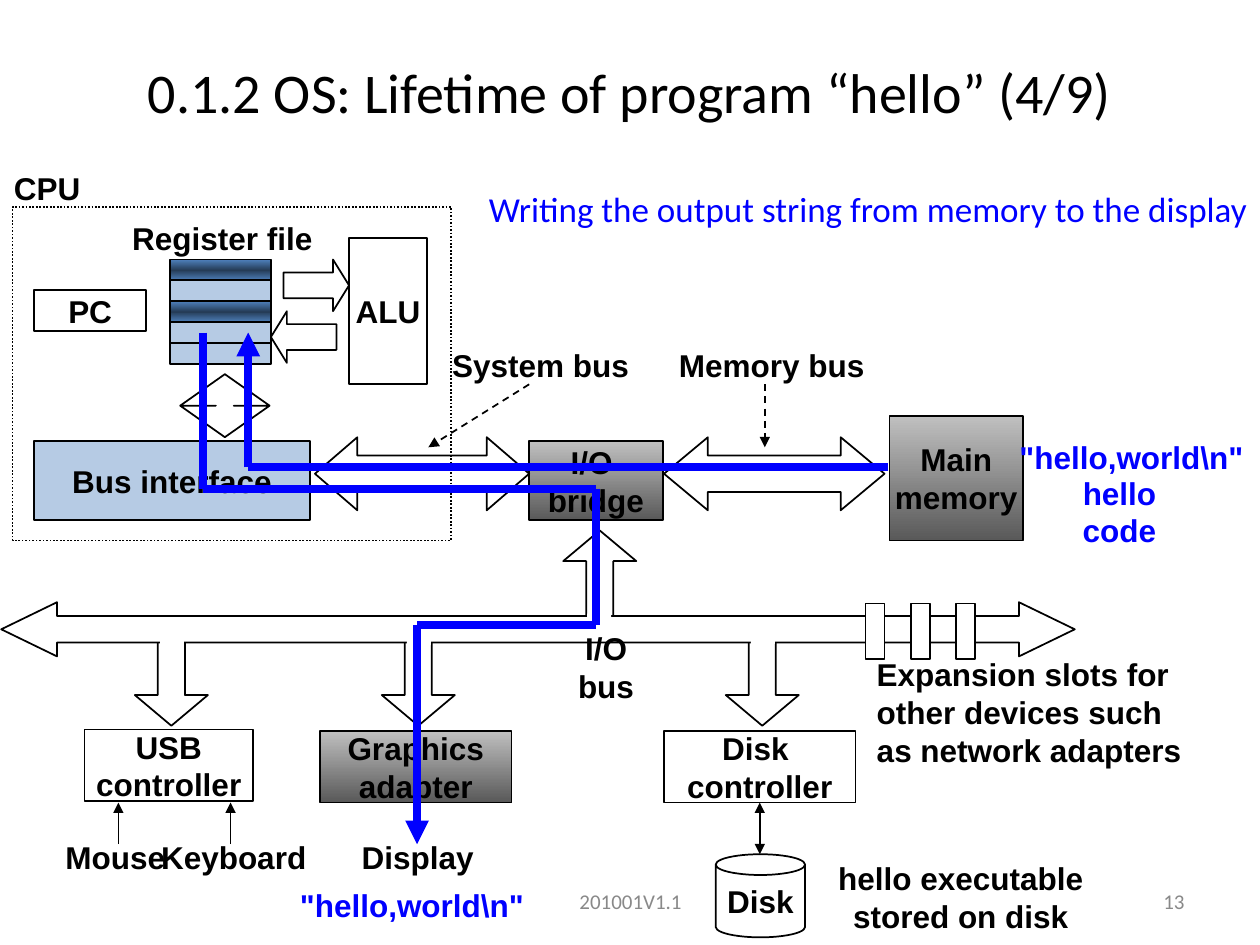
from lxml import etree
from pptx import Presentation, util as u
from pptx.dml.color import RGBColor
from pptx.enum import dml, shapes, text
from pptx.oxml.ns import qn

BLACK = RGBColor(0x00, 0x00, 0x00)
WHITE = RGBColor(0xFF, 0xFF, 0xFF)
BLUE = RGBColor(0x00, 0x00, 0xFF)
PALE_BLUE = RGBColor(0xB6, 0xCB, 0xE4)
MID_BLUE = RGBColor(0x4F, 0x81, 0xBD)
DARK_BLUE = RGBColor(0x25, 0x3C, 0x57)
SILVER = RGBColor(0xC0, 0xC0, 0xC0)
DARK_GREY = RGBColor(0x59, 0x59, 0x59)
FOOTER_GREY = RGBColor(0x89, 0x89, 0x89)

GREY_GRADIENT = [(0, SILVER), (100, DARK_GREY)]
BLUE_GRADIENT = [(0, MID_BLUE), (50, DARK_BLUE), (100, MID_BLUE)]

KIND = shapes.MSO_SHAPE
LEFT, CENTER, RIGHT = text.PP_ALIGN.LEFT, text.PP_ALIGN.CENTER, text.PP_ALIGN.RIGHT

# Content: positions are (left, top, width, height) in grid units of 2.54 cm
UNIT = 2.54
PAGE_TEXTS = [  # lines, box, size, colour, alignment
    (["201001V1.1"], (3.42, 6.95, 3.17, 0.4), 12, FOOTER_GREY, CENTER),
    (["13"], (7.17, 6.95, 2.33, 0.4), 12, FOOTER_GREY, RIGHT),
    (["0.1.2 OS: Lifetime of program “hello” (4/9)"], (0, 0.3, 10, 0.85), 32, BLACK, CENTER),
    (["Writing the output string from memory to the display"],
     (3.66, 1.07, 6.34, 1.17), 20, BLUE, RIGHT),
]
COMPONENTS = [  # lines, kind, box, fill
    (["Main", "memory"], KIND.RECTANGLE, (7.06, 3.3, 1.06, 0.99), GREY_GRADIENT),
    (["I/O ", "bridge"], KIND.RECTANGLE, (4.2, 3.5, 1.06, 0.63), GREY_GRADIENT),
    (["Bus interface"], KIND.RECTANGLE, (0.27, 3.5, 2.19, 0.63), PALE_BLUE),
    (["ALU"], KIND.RECTANGLE, (2.77, 1.89, 0.62, 1.16), None),
    (["PC"], KIND.RECTANGLE, (0.27, 2.3, 0.89, 0.33), None),
    (["USB", "controller"], KIND.RECTANGLE, (0.67, 5.79, 1.34, 0.57), None),
    (["Graphics", "adapter"], KIND.RECTANGLE, (2.54, 5.8, 1.52, 0.57), GREY_GRADIENT),
    (["Disk"], KIND.CAN, (5.68, 6.78, 0.71, 0.66), None),
    (["Disk ", "controller"], KIND.RECTANGLE, (5.27, 5.8, 1.52, 0.57), None),
]
BLOCK_ARROWS = [  # kind, box, adjustments
    (KIND.LEFT_RIGHT_ARROW, (5.27, 3.47, 1.75, 0.58), (0.5, 0.6)),
    (KIND.LEFT_RIGHT_ARROW, (2.5, 3.47, 1.7, 0.58), (0.5, 0.58)),
    (KIND.RIGHT_ARROW, (2.25, 2.06, 0.52, 0.41), (0.5, 0.31)),
    (KIND.LEFT_ARROW, (2.15, 2.47, 0.52, 0.41), (0.5, 0.31)),
    (KIND.UP_DOWN_ARROW, (1.43, 2.97, 0.71, 0.5), (0.5, 0.2)),
    (KIND.UP_ARROW, (4.47, 4.21, 0.58, 0.75), (0.37, 0.42)),
] + [(KIND.DOWN_ARROW, (left, 5.01, 0.58, 0.75), (0.37, 0.42)) for left in (1.07, 3.03, 5.76)]
REGISTER_FILLS = [BLUE_GRADIENT, PALE_BLUE, BLUE_GRADIENT, PALE_BLUE, PALE_BLUE]
BUS_JOINTS = [(1.27, 4.96), (3.23, 4.95), (5.96, 4.94), (4.66, 4.87)]
LABELS = [  # lines, box, colour, alignment
    (["Register file"], (0.95, 1.69, 1.63, 0.4), BLACK, CENTER),
    (["CPU"], (0.01, 1.29, 0.73, 0.4), BLACK, CENTER),
    (["System bus"], (3.49, 2.7, 1.6, 0.4), BLACK, CENTER),
    (["Memory bus"], (5.29, 2.7, 1.67, 0.4), BLACK, CENTER),
    (["Mouse"], (0.42, 6.6, 0.99, 0.4), BLACK, CENTER),
    (["Keyboard"], (1.18, 6.6, 1.35, 0.4), BLACK, CENTER),
    (["Display"], (2.77, 6.6, 1.09, 0.4), BLACK, CENTER),
    (["I/O bus"], (4.29, 5.09, 1.04, 0.4), BLACK, CENTER),
    (["Expansion slots for", "other devices such", "as network adapters"],
     (6.86, 5.14, 2.62, 1.02), BLACK, LEFT),
    (["hello executable ", "stored on disk"], (6.52, 6.77, 2.21, 0.7), BLACK, CENTER),
    (["hello code"], (8.17, 3.86, 1.43, 0.4), BLUE, CENTER),
    (['"hello,world\\n"'], (7.99, 3.43, 1.98, 0.4), BLUE, CENTER),
    (['"hello,world\\n"'], (2.28, 6.98, 1.98, 0.4), BLUE, CENTER),
]
POINTERS = [  # start, end, dashed
    ((4.2, 3.05), (3.4, 3.55), True),
    ((6.07, 3.05), (6.07, 3.55), True),
    ((0.94, 6.7), (0.94, 6.37), False),
    ((1.83, 6.7), (1.83, 6.37), False),
]
DATA_PATHS = [
    [(7.05, 3.71), (1.97, 3.71), (1.97, 2.64)],
    [(1.61, 2.64), (1.61, 3.88), (4.73, 3.88), (4.73, 4.96), (3.31, 4.96), (3.31, 6.7)],
]


def lengths(values):
    return [u.Cm(value * UNIT) for value in values]


def write(shape, lines, size, colour, alignment, font="Arial", bold=True, wrap=False):
    frame = shape.text_frame
    frame.word_wrap = wrap
    frame.vertical_anchor = text.MSO_ANCHOR.MIDDLE
    for index, line in enumerate(lines):
        paragraph = frame.add_paragraph() if index else frame.paragraphs[0]
        paragraph.alignment = alignment
        run = paragraph.add_run()
        run.text = line
        run.font.name, run.font.size, run.font.bold = font, u.Pt(size), bold
        run.font.color.rgb = colour


def paint(shape, fill):
    if fill is None:
        shape.fill.background()
    elif isinstance(fill, RGBColor):
        shape.fill.solid()
        shape.fill.fore_color.rgb = fill
    else:
        shape.fill.gradient()
        shape.fill.gradient_angle = 270  # top to bottom
        stops = shape._element.spPr.find(qn("a:gradFill")).find(qn("a:gsLst"))
        for stop in list(stops):
            stops.remove(stop)
        for position, colour in fill:
            stop = etree.SubElement(stops, qn("a:gs"), pos=str(position * 1000))
            etree.SubElement(stop, qn("a:srgbClr"), val=str(colour))


def add_shape(kind, box, fill=None, outlined=True, adjustments=()):
    shape = slide.shapes.add_shape(kind, *lengths(box))
    shape.shadow.inherit = False
    paint(shape, fill)
    if outlined:
        shape.line.color.rgb = BLACK
        shape.line.width = u.Pt(1)
    else:
        shape.line.fill.background()
    for index, value in enumerate(adjustments):
        shape.adjustments[index] = value
    return shape


def add_line(start, end, colour=BLACK, width=1, dashed=False, arrows=("tailEnd",)):
    line = slide.shapes.add_connector(shapes.MSO_CONNECTOR.STRAIGHT, *lengths(start + end))
    line.line.color.rgb = colour
    line.line.width = u.Pt(width)
    if dashed:
        line.line.dash_style = dml.MSO_LINE.DASH
    for arrow in arrows:
        etree.SubElement(line.line._get_or_add_ln(), qn("a:" + arrow), type="triangle")
    etree.SubElement(line._element.spPr, qn("a:effectLst"))
    return line


presentation = Presentation()
presentation.slide_width, presentation.slide_height = lengths((10, 7.5))
slide = presentation.slides.add_slide(presentation.slide_layouts[6])

# Title, subtitle and footer
for lines, box, size, colour, alignment in PAGE_TEXTS:
    write(slide.shapes.add_textbox(*lengths(box)), lines, size, colour, alignment,
          font="Calibri", bold=False, wrap=True)

# CPU outline, components and the arrows between them
cpu = add_shape(KIND.RECTANGLE, (0.1, 1.64, 3.48, 2.65))
cpu.line.dash_style = dml.MSO_LINE.ROUND_DOT
for lines, kind, box, fill in COMPONENTS:
    component = add_shape(kind, box, fill)
    write(component, lines, 18, BLACK, CENTER)
disk_controller = component
for kind, box, adjustments in BLOCK_ARROWS:
    add_shape(kind, box, adjustments=adjustments)
for row, fill in enumerate(REGISTER_FILLS):
    add_shape(KIND.RECTANGLE, (1.35, 2.06 + row * 0.165, 0.8, 0.17), fill)

# I/O bus, its open joints and the expansion slots
add_shape(KIND.LEFT_RIGHT_ARROW, (0.01, 4.78, 8.52, 0.43), WHITE, adjustments=(0.49, 1.03))
for left, top in BUS_JOINTS:
    add_shape(KIND.RECTANGLE, (left, top, 0.19, 0.17), WHITE, outlined=False)
for slot in range(3):
    add_shape(KIND.RECTANGLE, (6.87 + slot * 0.36, 4.79, 0.15, 0.44), WHITE)

# Thin pointers
for start, end, dashed in POINTERS:
    add_line(start, end, dashed=dashed)
disk_link = add_line((6.03, 6.37), (6.03, 6.78), arrows=("headEnd", "tailEnd"))
disk_link.begin_connect(disk_controller, 2)

# Labels
for lines, box, colour, alignment in LABELS:
    write(slide.shapes.add_textbox(*lengths(box)), lines, 18, colour, alignment)

# Data paths: memory to register, register to display
for points in DATA_PATHS:
    for start, end in zip(points, points[1:]):
        add_line(start, end, BLUE, 4.5, arrows=("tailEnd",) if end == points[-1] else ())

presentation.save("out.pptx")
